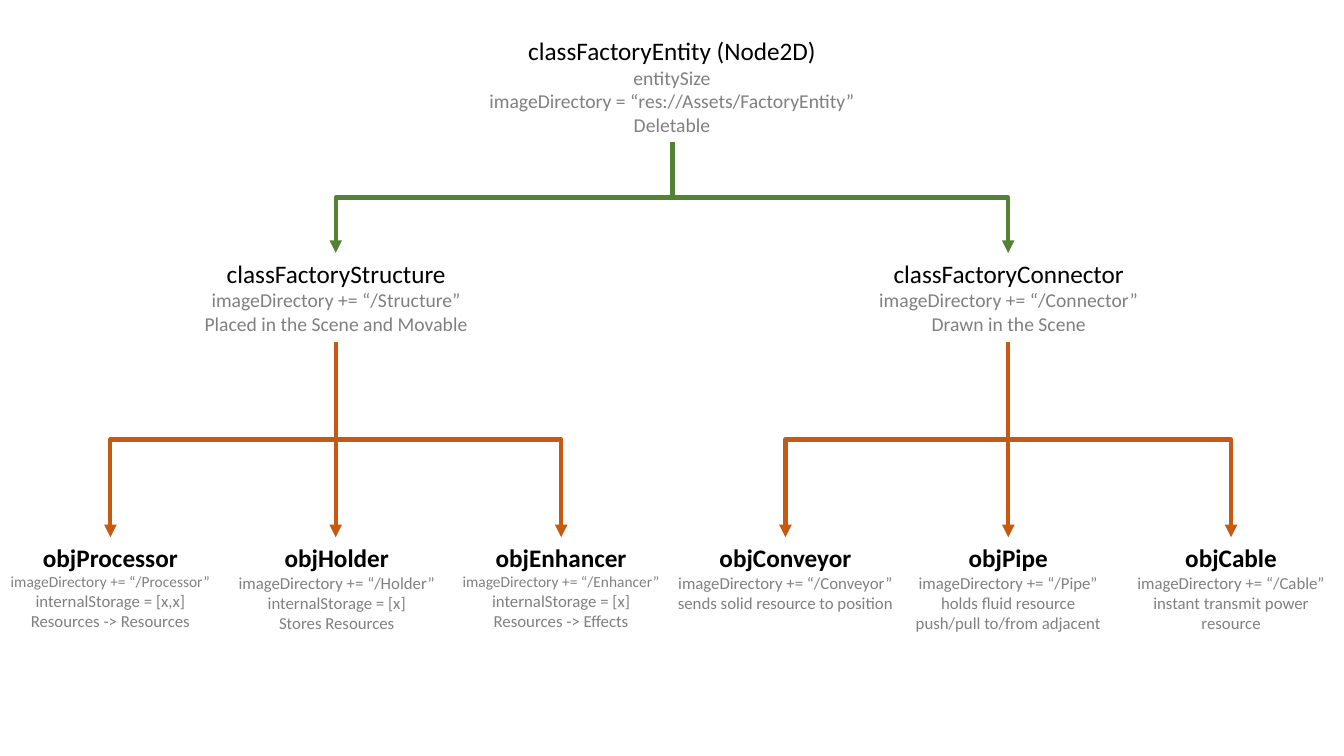
from pptx import Presentation
from pptx.dml.color import RGBColor
from pptx.enum.shapes import MSO_CONNECTOR
from pptx.enum.text import MSO_AUTO_SIZE, PP_ALIGN
from pptx.oxml.ns import qn
from pptx.util import Inches, Pt
from lxml import etree

ELBOW = MSO_CONNECTOR.ELBOW
CENTER = PP_ALIGN.CENTER
GROW = MSO_AUTO_SIZE.SHAPE_TO_FIT_TEXT
BLACK = RGBColor(0x00, 0x00, 0x00)
GRAY = RGBColor(0x80, 0x80, 0x80)
GREEN = RGBColor(0x54, 0x82, 0x35)
ORANGE = RGBColor(0xC5, 0x5A, 0x11)

PAGE_WIDTH, PAGE_HEIGHT = 13.33, 7.5
ROOT_TOP, CLASS_TOP, OBJECT_TOP = 0.3, 2.51, 5.33
ROOT_BOTTOM, CLASS_BOTTOM = 1.41, 3.39
ROOT_X, STRUCTURE_X, CONNECTOR_X = 6.67, 3.33, 10

deck = Presentation()
deck.slide_width = Inches(PAGE_WIDTH)
deck.slide_height = Inches(PAGE_HEIGHT)
page = deck.slides.add_slide(deck.slide_layouts[6])


def add_node(left, top, width, height, name, details, sizes, bold=False):
    """Add a centred text box: a name line above grey detail lines."""
    box = page.shapes.add_textbox(Inches(left), Inches(top), Inches(width), Inches(height))
    frame = box.text_frame
    frame.text = "\n".join([name] + details)
    frame.word_wrap = True
    frame.auto_size = GROW
    for index, (para, size) in enumerate(zip(frame.paragraphs, [18] + sizes)):
        para.alignment = CENTER
        font = para.runs[0].font
        font.name = "Calibri"
        font.size = Pt(size)
        font.bold = bold and index == 0
        font.color.rgb = BLACK if index == 0 else GRAY
    return box


def add_branch(start_x, start_y, end_x, end_y, color):
    """Add an elbow arrow that runs down, across and down again."""
    drop, span = end_y - start_y, abs(end_x - start_x)
    left = (start_x + end_x - drop) / 2
    top = (start_y + end_y - span) / 2
    branch = page.shapes.add_connector(
        ELBOW, Inches(left), Inches(top), Inches(left + drop), Inches(top + span))
    branch.line.color.rgb = color
    branch.line.width = Pt(3)
    properties = branch.element.spPr
    # The preset elbow starts sideways, so it is turned to start downwards
    frame = properties.find(qn("a:xfrm"))
    if end_x > start_x:
        frame.set("rot", "16200000")
        frame.set("flipH", "1")
    else:
        frame.set("rot", "5400000")
    etree.SubElement(properties.find(qn("a:ln")), qn("a:tailEnd"), type="triangle")
    etree.SubElement(properties, qn("a:effectLst"))


add_node(0, ROOT_TOP, PAGE_WIDTH, 1.11, "classFactoryEntity (Node2D)",
         ["entitySize", "imageDirectory = “res://Assets/FactoryEntity”", "Deletable"],
         [14, 14, 14])

classes = [
    (0, "classFactoryStructure",
     ["imageDirectory += “/Structure”", "Placed in the Scene and Movable"]),
    (6.67, "classFactoryConnector",
     ["imageDirectory += “/Connector”", "Drawn in the Scene"]),
]
for left, name, details in classes:
    add_node(left, CLASS_TOP, 6.67, 0.88, name, details, [14, 14])

# Left, width, height, parent centre, name, details, detail sizes
objects = [
    (0, 2.19, 0.99, STRUCTURE_X, "objProcessor",
     ["imageDirectory += “/Processor”", "internalStorage = [x,x]", "Resources -> Resources"],
     [11, 12, 12]),
    (2.2, 2.28, 1.01, STRUCTURE_X, "objHolder",
     ["imageDirectory += “/Holder”", "internalStorage = [x]", "Stores Resources"],
     [12, 12, 12]),
    (4.47, 2.19, 0.99, STRUCTURE_X, "objEnhancer",
     ["imageDirectory += “/Enhancer”", "internalStorage = [x]", "Resources -> Effects"],
     [11, 12, 12]),
    (6.67, 2.24, 0.81, CONNECTOR_X, "objConveyor",
     ["imageDirectory += “/Conveyor”", "sends solid resource to position"],
     [12, 12]),
    (8.91, 2.18, 1.01, CONNECTOR_X, "objPipe",
     ["imageDirectory += “/Pipe”", "holds fluid resource", "push/pull to/from adjacent"],
     [12, 12, 12]),
    (11.09, 2.24, 1.01, CONNECTOR_X, "objCable",
     ["imageDirectory += “/Cable”", "instant transmit power resource"],
     [12, 12]),
]
for left, width, height, parent_x, name, details, sizes in objects:
    box = add_node(left, OBJECT_TOP, width, height, name, details, sizes, bold=True)
    if name == "objConveyor":
        box.text_frame.margin_left = box.text_frame.margin_right = Inches(0)
    center_x = left + width / 2
    # The middle object hangs straight below its parent
    if abs(center_x - parent_x) < 0.05:
        center_x = parent_x
    add_branch(parent_x, CLASS_BOTTOM, center_x, OBJECT_TOP, ORANGE)

for class_x in (STRUCTURE_X, CONNECTOR_X):
    add_branch(ROOT_X, ROOT_BOTTOM, class_x, CLASS_TOP, GREEN)

deck.save("out.pptx")
